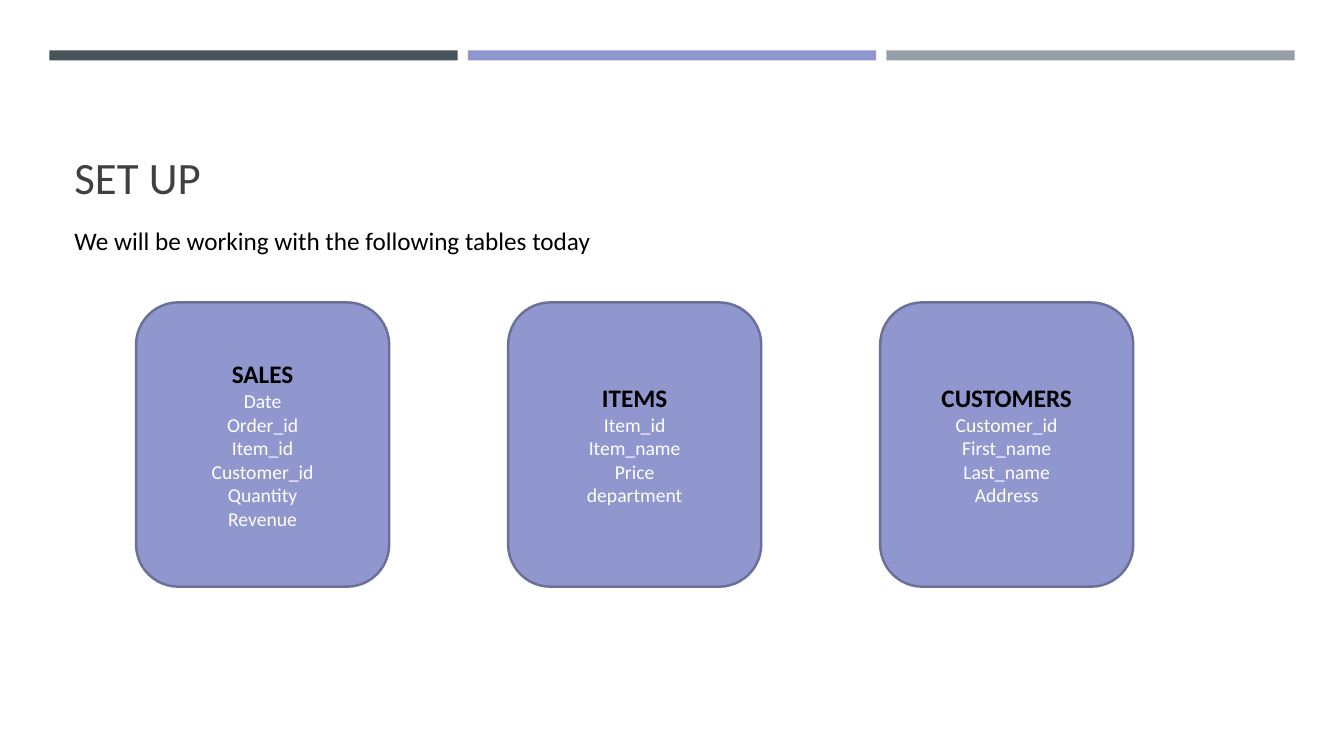
from pptx import Presentation
from pptx.dml.color import RGBColor
from pptx.enum.shapes import MSO_SHAPE as Shape
from pptx.enum.text import MSO_ANCHOR as Anchor, PP_ALIGN as Align
from pptx.util import Inches, Pt

FONT = "Calibri"
BARS = ["465359", "8F97CE", "969FA7"]
TABLES = [
    ("SALES", ["Date", "Order_id", "Item_id", "Customer_id", "Quantity", "Revenue"]),
    ("ITEMS", ["Item_id", "Item_name", "Price", "department"]),
    ("CUSTOMERS", ["Customer_id", "First_name", "Last_name", "Address"]),
]


def color(code):
    return RGBColor.from_string(code)


def write(para, text, size=18, ink="000000", bold=False, align=Align.LEFT):
    para.alignment = align
    run = para.add_run()
    run.text = text
    font = run.font
    font.name, font.size, font.bold = FONT, Pt(size), bold
    font.color.rgb = color(ink)


def add_block(slide, kind, x, y, w, h, fill, line=None):
    block = slide.shapes.add_shape(kind, Inches(x), Inches(y), Inches(w), Inches(h))
    block.shadow.inherit = False
    block.fill.solid()
    block.fill.fore_color.rgb = color(fill)
    if line:
        block.line.color.rgb = color(line)
        block.line.width = Pt(1.75)
    else:
        block.line.fill.background()
    return block


def add_label(slide, text, x, y, w, h, anchor=Anchor.TOP, **style):
    box = slide.shapes.add_textbox(Inches(x), Inches(y), Inches(w), Inches(h))
    frame = box.text_frame
    frame.word_wrap = True
    frame.vertical_anchor = anchor
    write(frame.paragraphs[0], text, **style)


# Three bars across the top
def add_bars(slide, x, y, w, h, gap=0.1):
    width = (w - gap * (len(BARS) - 1)) / len(BARS)
    for i, fill in enumerate(BARS):
        add_block(slide, Shape.RECTANGLE, x + i * (width + gap), y, width, h, fill)


# Title with the line below it
def add_head(slide, x, y, w):
    add_label(slide, "SET UP", x, y, w, 1.3, Anchor.BOTTOM, size=32, ink="404040")
    add_label(slide, "We will be working with the following tables today",
              x, y + 1.42, 7.81, 0.4)


# One card: table name, then its columns
def add_card(slide, x, y, w, h, name, fields):
    card = add_block(slide, Shape.ROUNDED_RECTANGLE, x, y, w, h, "8F97CE", "6A7098")
    frame = card.text_frame
    frame.word_wrap = True
    frame.vertical_anchor = Anchor.MIDDLE
    write(frame.paragraphs[0], name, bold=True, align=Align.CENTER)
    for field in fields:
        write(frame.add_paragraph(), field, size=14, ink="FFFFFF", align=Align.CENTER)


# Row of cards
def add_cards(slide, x, y, w, h, step=3.69):
    for i, (name, fields) in enumerate(TABLES):
        add_card(slide, x + i * step, y, w, h, name, fields)


def main():
    deck = Presentation()
    deck.slide_width, deck.slide_height = Inches(13.33), Inches(7.5)
    slide = deck.slides.add_slide(deck.slide_layouts[6])
    add_bars(slide, 0.49, 0.5, 12.35, 0.1)
    add_head(slide, 0.64, 0.77, 12.06)
    add_cards(slide, 1.35, 3, 2.51, 2.82)
    deck.save("out.pptx")


if __name__ == "__main__":
    main()
